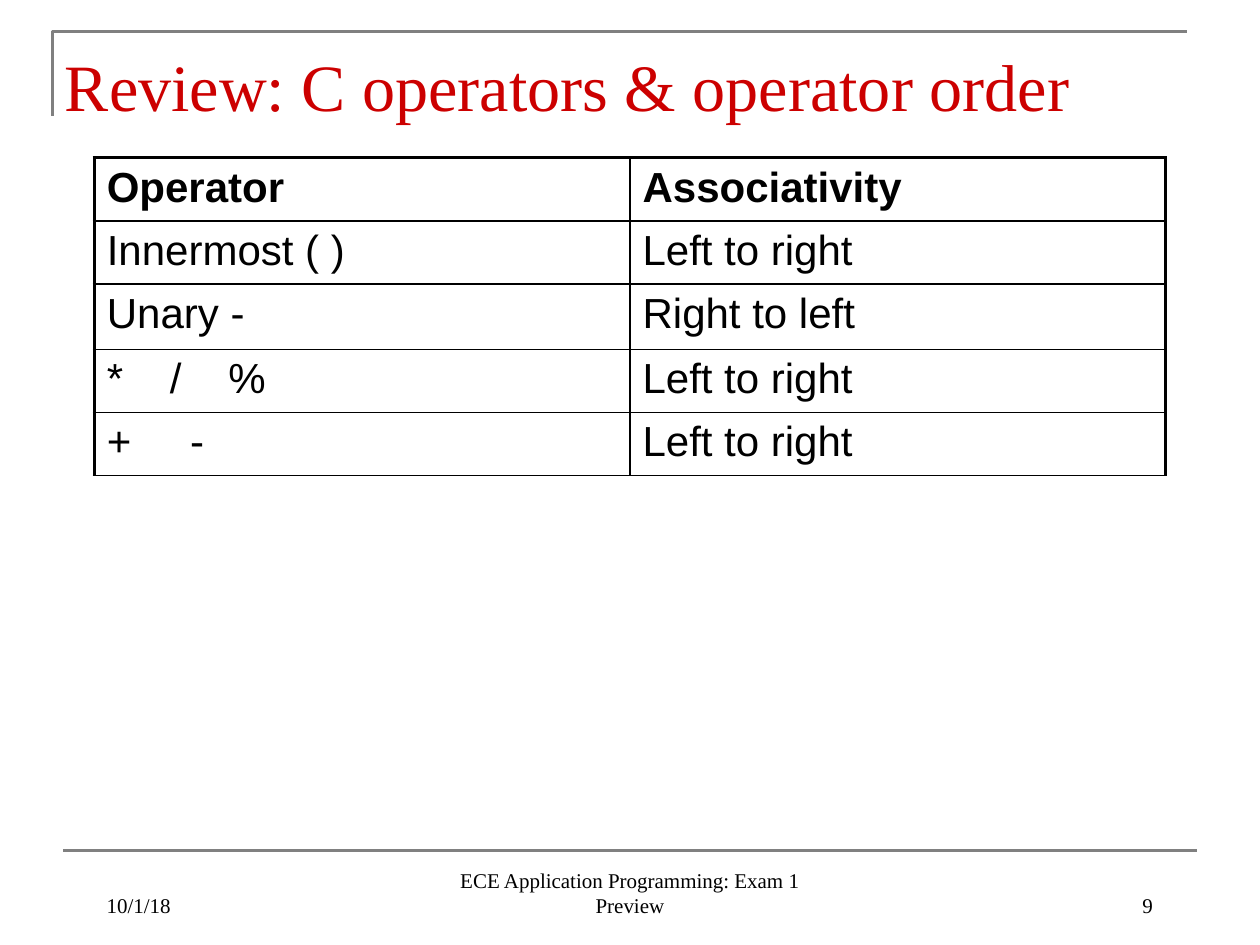
from dataclasses import dataclass

from lxml import etree
from pptx import Presentation
from pptx.dml.color import RGBColor
from pptx.enum import shapes, text
from pptx.oxml.ns import qn
from pptx.util import Cm, Pt


@dataclass(frozen=True)
class Theme:
    red: RGBColor = RGBColor(0xCC, 0, 0)
    black: RGBColor = RGBColor(0, 0, 0)
    gray: RGBColor = RGBColor(0x80, 0x80, 0x80)
    serif: str = "Times New Roman"
    sans: str = "Arial"
    title: float = 37.8
    body: float = 24
    foot: float = 12
    rule: float = 1.5
    thick: float = 2.25
    thin: float = 1


@dataclass(frozen=True)
class Label:
    words: str
    left: float
    top: float
    width: float
    height: float
    size: float
    color: RGBColor
    align: text.PP_ALIGN = text.PP_ALIGN.LEFT
    anchor: text.MSO_ANCHOR = text.MSO_ANCHOR.BOTTOM
    inset: float = 0.13


@dataclass(frozen=True)
class Row:
    name: str
    order: str
    height: float = 1.27
    tabs: tuple[float, ...] = ()
    bold: bool = False


T = Theme()
FOOT = dict(top=17.36, height=1.27, size=T.foot, color=T.black)

LABELS = [
    Label("Review: C operators & operator order", 1.06, 0.64, 21.59, 2.33,
          T.title, T.red, anchor=text.MSO_ANCHOR.TOP, inset=0.27),
    Label("9", left=18.2, width=5.29, align=text.PP_ALIGN.RIGHT, **FOOT),
    Label("10/1/18", left=1.9, width=5.29, **FOOT),
    Label("ECE Application Programming: Exam 1 Preview", left=8.68,
          width=8.04, align=text.PP_ALIGN.CENTER, **FOOT),
]

ROWS = [
    Row("Operator", "Associativity", bold=True),
    Row("Innermost ( )", "Left to right"),
    Row("Unary -", "Right to left", height=1.32),
    Row("*\t/\t%", "Left to right", tabs=(1.27, 2.45)),
    Row("+\t-", "Left to right", tabs=(1.68,)),
]


def style(para, face: str, size: float, color: RGBColor, bold: bool = False) -> None:
    font = para.font
    font.name, font.size, font.bold = face, Pt(size), bold
    font.color.rgb = color


def stroke(shape) -> None:
    shape.line.color.rgb = T.gray
    shape.line.width = Pt(T.rule)


def frame(slide) -> None:
    """Draw the title corner and the footer rule."""
    pen = slide.shapes.build_freeform(Cm(1.06), Cm(2.33), scale=1.0)
    pen.add_line_segments([(Cm(1.06), Cm(0.64)), (Cm(23.92), Cm(0.64))], close=False)
    edge = pen.convert_to_shape()
    edge.shadow.inherit = False
    edge.fill.background()
    stroke(edge)

    rule = slide.shapes.add_connector(
        shapes.MSO_CONNECTOR.STRAIGHT, Cm(1.27), Cm(17.15), Cm(24.13), Cm(17.15))
    stroke(rule)
    etree.SubElement(rule._element.spPr, qn("a:effectLst"))


def write(slide, item: Label) -> None:
    box = slide.shapes.add_textbox(
        Cm(item.left), Cm(item.top), Cm(item.width), Cm(item.height))
    body = box.text_frame
    body.word_wrap = True
    body.vertical_anchor = item.anchor
    body.margin_top = Cm(item.inset)
    para = body.paragraphs[0]
    para.text = item.words
    para.alignment = item.align
    style(para, T.serif, item.size, item.color)


def border(cell, sides: dict[str, float]) -> None:
    props = cell._tc.get_or_add_tcPr()
    for spot, (side, width) in enumerate(sides.items()):
        line = etree.Element(qn(f"a:ln{side}"), w=str(Pt(width)))
        fill = etree.SubElement(line, qn("a:solidFill"))
        etree.SubElement(fill, qn("a:srgbClr"), val=str(T.black))
        props.insert(spot, line)


def stops(para, tabs: tuple[float, ...]) -> None:
    group = etree.SubElement(para._p.get_or_add_pPr(), qn("a:tabLst"))
    for pos in tabs:
        etree.SubElement(group, qn("a:tab"), pos=str(Cm(pos)), algn="l")


def table(slide, rows: list[Row]) -> None:
    high = sum(row.height for row in rows)
    grid = slide.shapes.add_table(
        len(rows), 2, Cm(1.9), Cm(3.18), Cm(21.6), Cm(high)).table
    grid.first_row = grid.horz_banding = False
    for r, row in enumerate(rows):
        grid.rows[r].height = Cm(row.height)
        for c, words in enumerate((row.name, row.order)):
            cell = grid.cell(r, c)
            cell.fill.background()
            border(cell, {
                "L": T.thin if c else T.thick,
                "R": T.thick if c else T.thin,
                "T": T.thin if r else T.thick,
                "B": T.thin,
            })
            para = cell.text_frame.paragraphs[0]
            para.text = words
            if row.tabs and c == 0:
                stops(para, row.tabs)
            style(para, T.sans, T.body, T.black, row.bold)


def main() -> None:
    deck = Presentation()
    deck.slide_width, deck.slide_height = Cm(25.4), Cm(19.05)
    slide = deck.slides.add_slide(deck.slide_layouts[6])

    # Rules, title and footer
    frame(slide)
    for item in LABELS:
        write(slide, item)

    # Operator table
    table(slide, ROWS)
    deck.save("out.pptx")


if __name__ == "__main__":
    main()
